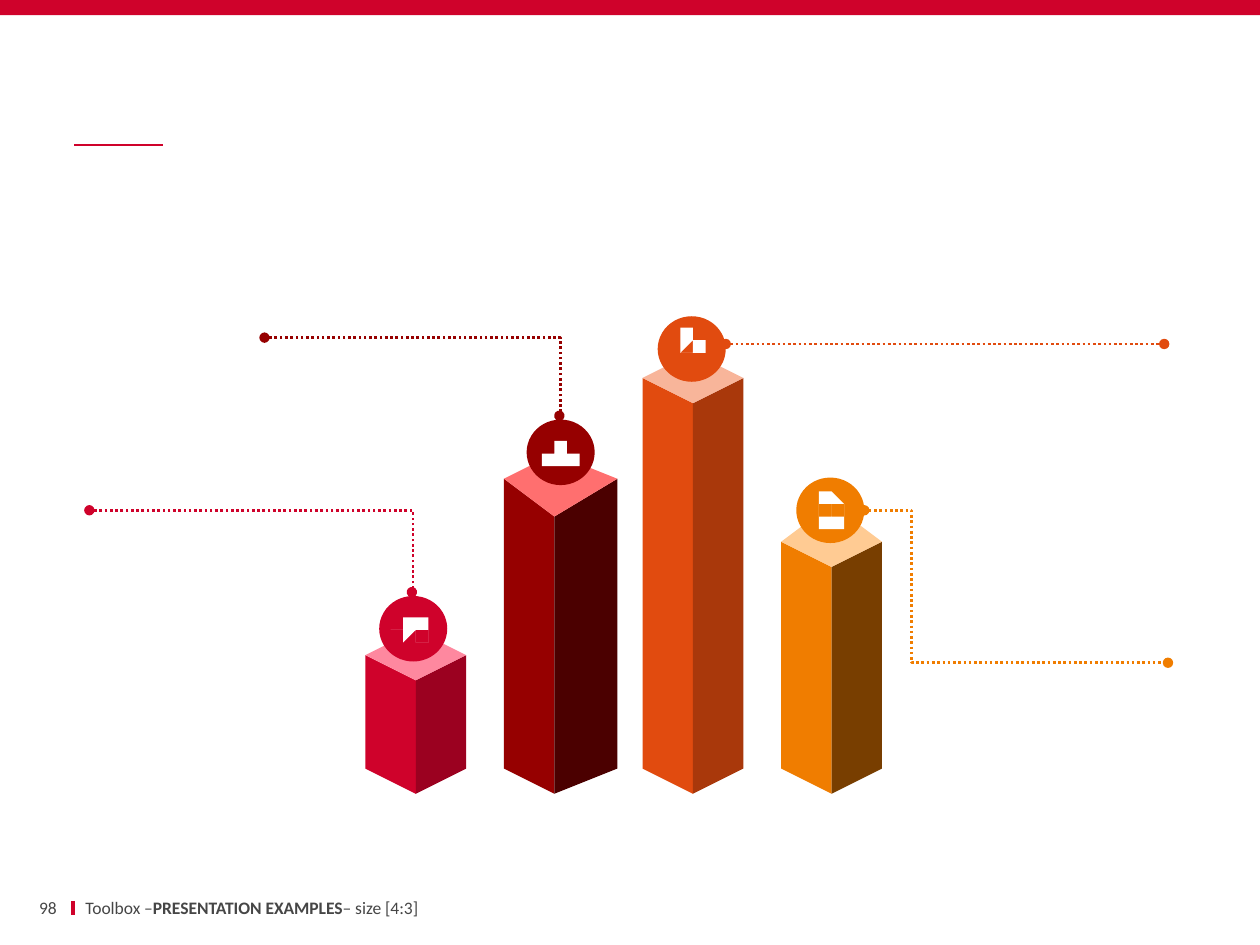
import math
import pptx
import pptx.util
import pptx.dml.color
import pptx.enum.dml
import pptx.enum.shapes
import pptx.enum.text
import pptx.oxml
import pptx.oxml.ns

RGB = pptx.dml.color.RGBColor.from_string
SHAPE = pptx.enum.shapes.MSO_SHAPE
CONNECTOR = pptx.enum.shapes.MSO_CONNECTOR
ALIGN = pptx.enum.text.PP_ALIGN
NS = pptx.oxml.ns.nsdecls("a")

THEME = {
    "accent": "CF022B", "text": "464646", "icon": "FFFFFF",
    "font": "Calibri", "size": 10,
    # front, side and top face of each column
    "red": ("CF022B", "9B0120", "FE889F"),
    "dark": ("960000", "4B0000", "FF6F6F"),
    "orange": ("E14B0F", "A9380B", "F8B59A"),
    "amber": ("F07D00", "783E00", "FFCB93"),
}

prs = pptx.Presentation()
prs.slide_width, prs.slide_height = pptx.util.Inches(10), pptx.util.Inches(7.5)
CELL = prs.slide_width // 100  # grid of 100 columns by 75 rows
s = prs.slides.add_slide(prs.slide_layouts[6])


def outline(contours, color):
    """Draw closed contours as one filled shape; inner contours are holes."""
    builder = s.shapes.build_freeform(*contours[0][0], scale=CELL)
    for i, points in enumerate(contours):
        if i:
            builder.move_to(*points[0])
        builder.add_line_segments(points[1:], close=True)
    sp = builder.convert_to_shape()
    sp.shadow.inherit = False
    sp.fill.solid()
    sp.fill.fore_color.rgb = RGB(color)
    sp.line.fill.background()


def ring(cx, cy, radii, n):
    """Return n points around a centre, cycling through the radii."""
    return [(cx + radii[i % len(radii)] * math.cos(math.tau * i / n),
             cy + radii[i % len(radii)] * math.sin(math.tau * i / n))
            for i in range(n)]


# Top band
band = s.shapes.add_shape(SHAPE.RECTANGLE, 0, 0, prs.slide_width, int(1.2 * CELL))
band.shadow.inherit = False
band.fill.solid()
band.fill.fore_color.rgb = RGB(THEME["accent"])
band.line.fill.background()

# Columns: colour, centre x, shoulder y, badge centre
columns = [
    ("red", 32.7, 52.0, (32.8, 49.9)),
    ("dark", 44.5, 38.2, (44.5, 35.9)),
    ("orange", 54.87, 30.0, (54.9, 27.7)),
    ("amber", 65.75, 42.8, (65.9, 40.5)),
]
HALF, DEPTH, BASE = 4.03, 2.33, 61.0
for name, x, top, _ in columns:
    front, side, lid = THEME[name]
    for edge, color in ((x - HALF, front), (x + HALF, side)):
        outline([[(edge, BASE), (x, BASE + DEPTH), (x, top + DEPTH), (edge, top)]], color)
    outline([[(x - HALF, top), (x, top + DEPTH), (x + HALF, top), (x, top - DEPTH)]], lid)

# Rules and dotted leaders: start, end, colour, width, elbow position, dotted
lines = [
    ((5.8, 71.5), (5.8, 72.6), "accent", 2.25, None, False),
    ((5.9, 11.5), (12.9, 11.5), "accent", 1, None, False),
    ((32.7, 47.0), (7.1, 40.5), "red", 1.5, -0.003, True),
    ((68.6, 40.5), (92.7, 52.6), "amber", 1.5, 0.155, True),
    ((44.4, 33.0), (21.0, 26.8), "dark", 1.5, -0.003, True),
    ((57.6, 27.3), (92.4, 27.3), "orange", 1.5, None, True),
]
for start, end, name, width, bend, dotted in lines:
    kind = CONNECTOR.STRAIGHT if bend is None else CONNECTOR.ELBOW
    line = s.shapes.add_connector(kind, *(int(v * CELL) for v in start + end))
    color = THEME[name] if name == "accent" else THEME[name][0]
    line.line.color.rgb = RGB(color)
    line.line.width = pptx.util.Pt(width)
    props = line._element.spPr
    if bend is not None:
        guides = props.find(pptx.oxml.ns.qn("a:prstGeom")).get_or_add_avLst()
        guides.append(pptx.oxml.parse_xml(
            f'<a:gd {NS} name="adj1" fmla="val {round(bend * 100000)}"/>'))
    if dotted:
        line.line.dash_style = pptx.enum.dml.MSO_LINE.ROUND_DOT
        for tag in ("headEnd", "tailEnd"):
            props.find(pptx.oxml.ns.qn("a:ln")).append(
                pptx.oxml.parse_xml(f'<a:{tag} {NS} type="oval"/>'))
    props.append(pptx.oxml.parse_xml(f"<a:effectLst {NS}/>"))

# Badges
for name, _, _, (x, y) in columns:
    badge = s.shapes.add_shape(SHAPE.OVAL, *(int(v * CELL) for v in (x - 2.7, y - 2.6, 5.4, 5.2)))
    badge.shadow.inherit = False
    badge.fill.solid()
    badge.fill.fore_color.rgb = RGB(THEME[name][0])
    badge.line.fill.background()

# Icons
gears = []
for x, y, tip, root, hole in ((32.3, 49.9, 0.88, 0.64, 0.35),
                              (33.5, 49.2, 0.54, 0.36, 0.2),
                              (33.5, 50.6, 0.54, 0.36, 0.2)):
    gears += [ring(x, y, (tip, tip, root, root), 32), ring(x, y, (hole,), 24)]

boxes = [(44.2, 34.6), (43.3, 36.0), (44.2, 36.0), (45.1, 36.0)]
tree = [[(x + 0.1, y), (x + 0.55, y), (x + 0.65, y + 0.1), (x + 0.65, y + 0.6),
         (x + 0.55, y + 0.7), (x + 0.1, y + 0.7), (x, y + 0.6), (x, y + 0.1)]
        for x, y in boxes]
links = [(44.42, 35.3, 0.2, 0.3), (43.56, 35.6, 1.9, 0.18)]
links += [(x, 35.78, 0.18, 0.22) for x in (43.56, 44.42, 45.28)]
tree += [[(x, y), (x + w, y), (x + w, y + h), (x, y + h)] for x, y, w, h in links]

cloud = [
    [(54.3, 28.4), (53.9, 28.3), (53.65, 28.05), (53.6, 27.7), (53.7, 27.4),
     (54.0, 27.15), (54.05, 26.8), (54.3, 26.5), (54.7, 26.4), (55.1, 26.5),
     (55.4, 26.85), (55.65, 26.8), (55.9, 26.9), (56.0, 27.2), (55.95, 27.4),
     (56.2, 27.55), (56.3, 27.9), (56.15, 28.25), (55.8, 28.4)],
    [(54.9, 26.9), (55.4, 27.5), (55.1, 27.5), (55.1, 28.1),
     (54.7, 28.1), (54.7, 27.5), (54.4, 27.5)],
]

camera = [
    [(64.7, 39.9), (64.8, 39.65), (65.0, 39.6), (65.3, 39.6), (65.4, 39.35),
     (65.6, 39.2), (66.3, 39.2), (66.5, 39.35), (66.6, 39.6), (66.9, 39.6),
     (67.15, 39.7), (67.2, 39.9), (67.2, 41.1), (67.1, 41.4), (66.9, 41.5),
     (65.0, 41.5), (64.8, 41.4), (64.7, 41.1)],
    ring(65.97, 40.5, (0.6,), 32),
    ring(65.97, 40.5, (0.38,), 32),
]
for icon in (gears, tree, cloud, camera):
    outline(icon, THEME["icon"])

# Footer: left, width, side inset, alignment, runs with their weight
footer = [
    (1.3, 3.2, 0, ALIGN.RIGHT, [("98", False)]),
    (5.8, 49.7, 1, ALIGN.LEFT, [("Toolbox –", False), ("PRESENTATION EXAMPLES", True),
                                ("– size [4:3]", False)]),
]
for left, width, inset, align, runs in footer:
    tf = s.shapes.add_textbox(*(int(v * CELL) for v in (left, 71.1, width, 1.8))).text_frame
    tf.word_wrap = True
    tf.vertical_anchor = pptx.enum.text.MSO_ANCHOR.MIDDLE
    tf.margin_left = tf.margin_right = inset * CELL
    p = tf.paragraphs[0]
    p.alignment = align
    p.font.name, p.font.size = THEME["font"], pptx.util.Pt(THEME["size"])
    p.font.color.rgb = RGB(THEME["text"])
    for text, bold in runs:
        r = p.add_run()
        r.text, r.font.bold = text, bold

prs.save("out.pptx")
